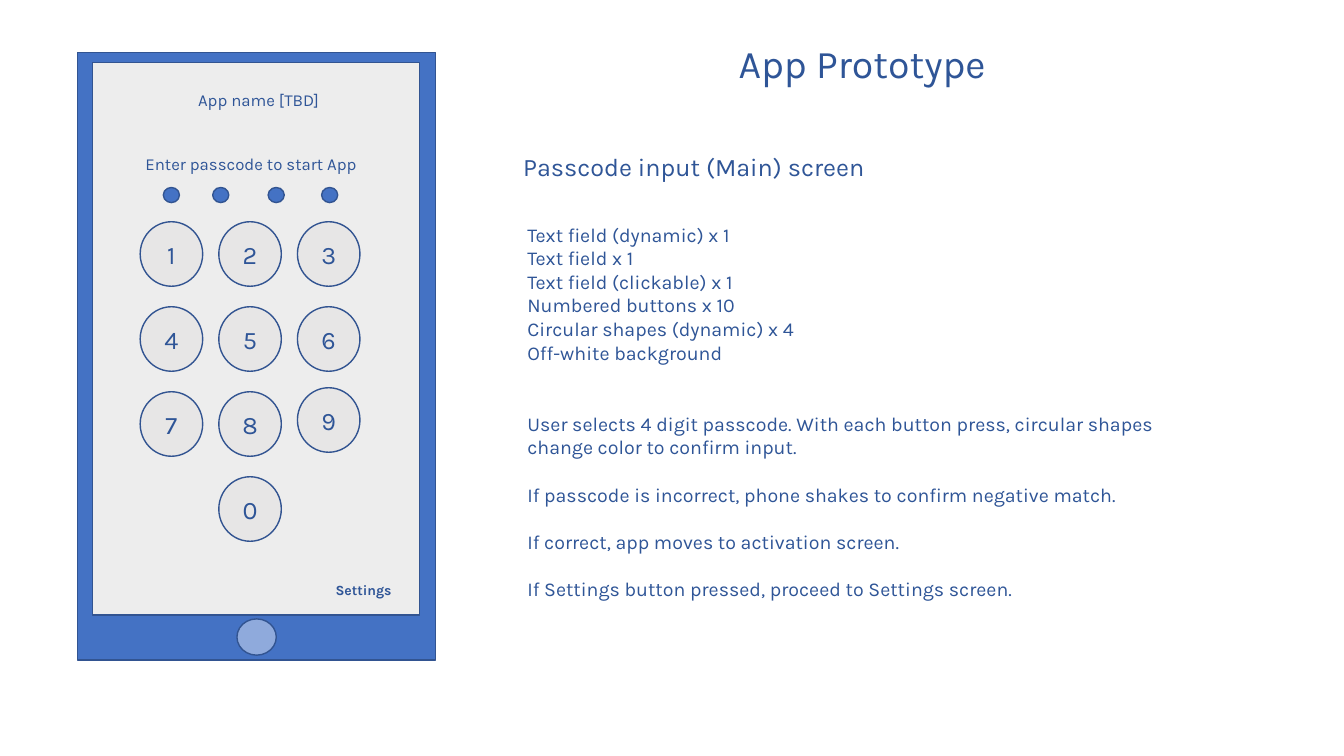
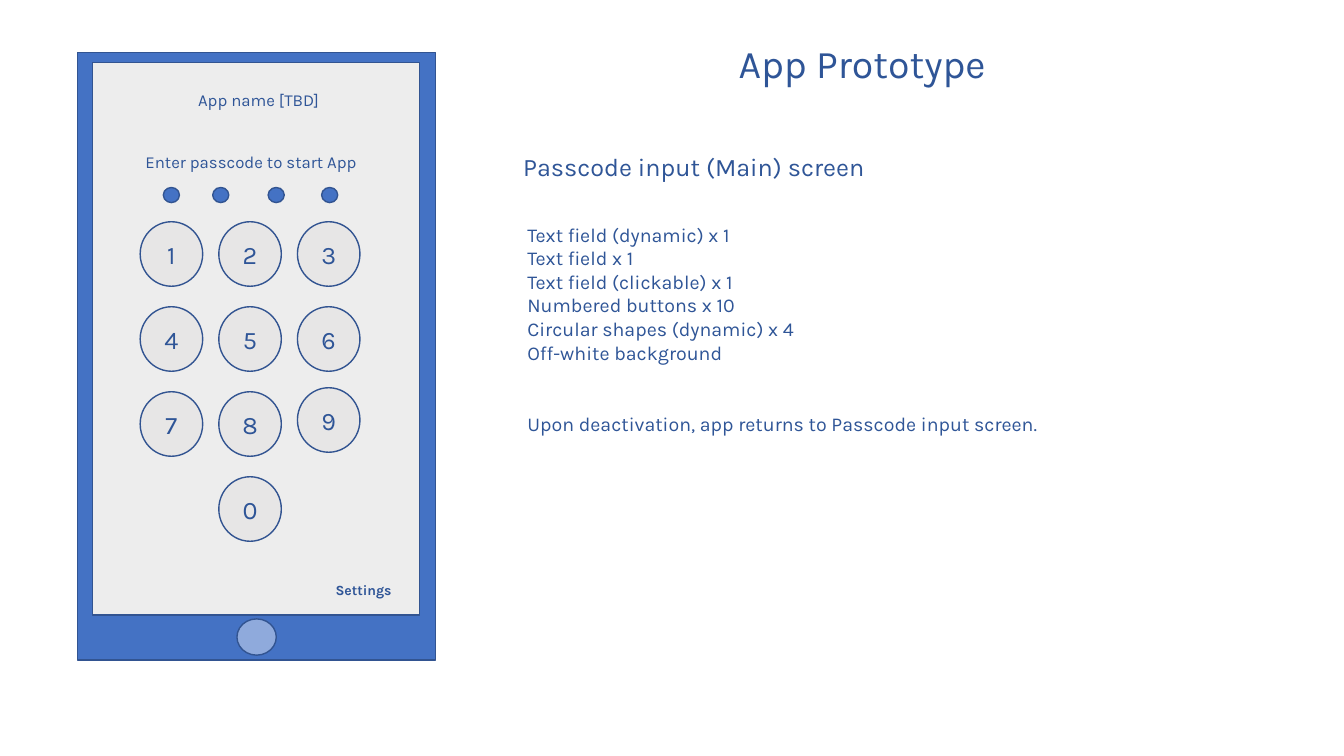
from pptx import Presentation
from pptx.dml.color import RGBColor
from pptx.enum.shapes import MSO_SHAPE
from pptx.enum.text import MSO_ANCHOR, MSO_AUTO_SIZE, PP_ALIGN
from pptx.oxml.xmlchemy import OxmlElement
from pptx.util import Inches, Pt

RECT, OVAL = MSO_SHAPE.RECTANGLE, MSO_SHAPE.OVAL
LEFT, CENTER = PP_ALIGN.LEFT, PP_ALIGN.CENTER
TOP, MIDDLE = MSO_ANCHOR.TOP, MSO_ANCHOR.MIDDLE
FONT = "Karla"
INK, OUTLINE, BLUE = "2F5597", "325491", "4472C4"
SCREEN, BUTTON, HOME = "EDEDED", "E7E6E6", "8FAADC"

PHONE_BOX = (0.77, 0.52, 3.55, 6.03)
NOTES_BOX = (5.09, 0.34, 6.52, 6.16)

ELEMENTS = [
    "Text field (dynamic) x 1",
    "Text field x 1",
    "Text field (clickable) x 1",
    "Numbered buttons x 10",
    "Circular shapes (dynamic) x 4",
    "Off-white background",
]
# Behaviour notes and the top of the passcode prompt inside the phone
SLIDES = [
    ([
        "User selects 4 digit passcode. With each button press, circular "
        "shapes change color to confirm input. ",
        "If passcode is incorrect, phone shakes to confirm negative match.",
        "If correct, app moves to activation screen.",
        "If Settings button pressed, proceed to Settings screen.",
    ], 0.96),
    (["Upon deactivation, app returns to Passcode input screen."], 0.94),
]


def rgb(value):
    return RGBColor.from_string(value)


def lengths(*box):
    return [Inches(v) for v in box]


def move(shape, *box):
    shape.left, shape.top, shape.width, shape.height = lengths(*box)


def write(shape, lines, size, align=LEFT, anchor=TOP, bold=False):
    tf = shape.text_frame
    tf.text = "\n".join(lines)
    tf.word_wrap = True
    tf.auto_size = MSO_AUTO_SIZE.NONE
    tf.vertical_anchor = anchor
    for p in tf.paragraphs:
        p.alignment = align
        p.line_spacing = 1.0
        p.space_before = p.space_after = Pt(0)
        for r in p.runs:
            r.font.name, r.font.size, r.font.bold = FONT, Pt(size), bold
            r.font.color.rgb = rgb(INK)


def add_text(s, box, text, size, align=LEFT, bold=False):
    write(s.shapes.add_textbox(*lengths(*box)), [text], size, align, bold=bold)


def add_part(s, kind, box, fill):
    sp = s.shapes.add_shape(kind, *lengths(*box))
    sp.shadow.inherit = False
    sp.fill.solid()
    sp.fill.fore_color.rgb = rgb(fill)
    sp.line.color.rgb = rgb(OUTLINE)
    sp.line.width = Pt(1)
    return sp


def add_keypad(s, x, y, w, h):
    key_w, key_h = 0.62, 0.64
    step_x, step_y = (w - key_w) / 2, (h - key_h) / 3
    for i, digit in enumerate("1234567890"):
        row, col = divmod(i, 3)
        if digit == "0":
            col = 1
        lift = 0.04 if digit == "9" else 0
        box = (x + col * step_x, y + row * step_y - lift, key_w, key_h)
        write(add_part(s, OVAL, box, BUTTON), [digit], 18, CENTER, MIDDLE)


def add_phone(s, x, y, w, h, prompt_top):
    # Case, screen and home button
    add_part(s, RECT, (x, y, w, h), BLUE)
    add_part(s, RECT, (x + 0.15, y + 0.1, w - 0.31, h - 0.55), SCREEN)
    add_part(s, OVAL, (x + 1.58, y + h - 0.41, 0.39, 0.36), HOME)
    # Screen labels
    add_text(s, (x + 0.31, y + 0.32, 2.97, 0.3), "App name [TBD]", 12, CENTER)
    add_text(s, (x + 0.31, y + prompt_top, 2.82, 0.3),
             "Enter passcode to start App", 12, CENTER)
    add_text(s, (x + 2.46, y + 5.2, 1.1, 0.27), "Settings", 10, bold=True)
    # Passcode dots and keypad
    for dx in (0.85, 1.34, 1.89, 2.42):
        add_part(s, OVAL, (x + dx, y + 1.34, 0.16, 0.15), BLUE)
    add_keypad(s, x + 0.62, y + 1.68, 2.18, 3.17)


def add_notes(s, x, y, w, h, behaviour):
    # Title and subtitle
    title, body = s.shapes.title, s.placeholders[1]
    move(title, x + 0.62, y, 5.68, 0.57)
    write(title, ["App Prototype"], 28, CENTER)
    add_text(s, (x, y + 1.11, 5.2, 0.4), "Passcode input (Main) screen", 18)
    # Screen elements, then behaviour set apart by spacing
    move(body, x + 0.04, y + 1.82, w - 0.04, h - 1.82)
    write(body, ELEMENTS + behaviour, 14)
    for i, p in enumerate(body.text_frame.paragraphs):
        if i >= len(ELEMENTS):
            p.space_before = Pt(34 if i == len(ELEMENTS) else 17)
        pPr = p._p.get_or_add_pPr()
        pPr.set("marL", "0")
        pPr.set("indent", "0")
        pPr.append(OxmlElement("a:buNone"))


prs = Presentation()
prs.slide_width, prs.slide_height = lengths(13.33, 7.5)
for behaviour, prompt_top in SLIDES:
    s = prs.slides.add_slide(prs.slide_layouts[1])
    add_phone(s, *PHONE_BOX, prompt_top)
    add_notes(s, *NOTES_BOX, behaviour)
prs.save("out.pptx")
